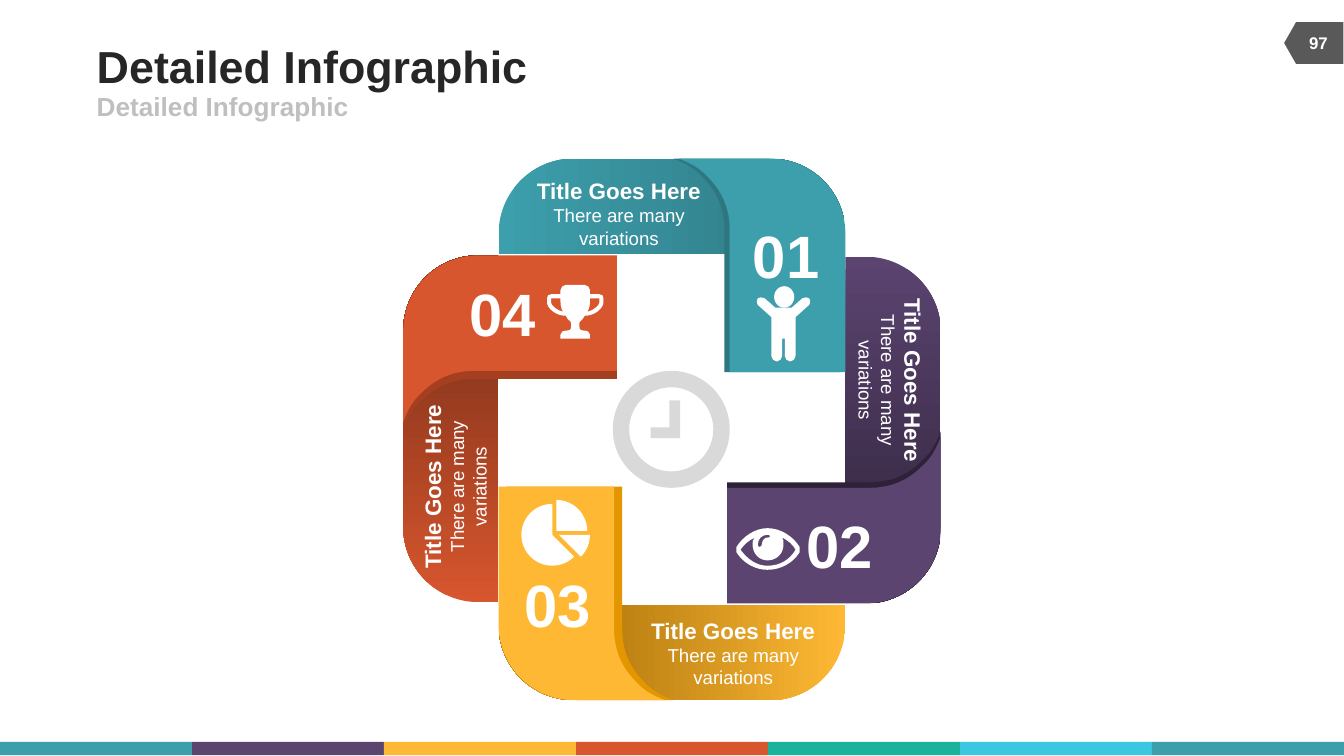
import pptx
import pptx.dml.color
import pptx.enum.shapes
import pptx.enum.text
import pptx.oxml.ns
import pptx.oxml.xmlchemy
import pptx.util

RGB = pptx.dml.color.RGBColor
SHAPE = pptx.enum.shapes.MSO_SHAPE
ALIGN = pptx.enum.text.PP_ALIGN
ANCHOR = pptx.enum.text.MSO_ANCHOR

TEAL, DARK_TEAL = RGB(0x3D, 0x9F, 0xAC), RGB(0x2E, 0x77, 0x81)
PURPLE, DARK_PURPLE = RGB(0x5B, 0x44, 0x70), RGB(0x2E, 0x22, 0x38)
YELLOW, BROWN, AMBER = RGB(0xFE, 0xB8, 0x34), RGB(0x98, 0x64, 0x01), RGB(0xE4, 0x96, 0x01)
ORANGE, MAROON, RUST = RGB(0xD7, 0x56, 0x2E), RGB(0x6E, 0x2A, 0x15), RGB(0xA4, 0x3F, 0x1F)
GREEN, SKY = RGB(0x1B, 0xB2, 0x9C), RGB(0x3B, 0xC7, 0xE2)
WHITE, INK, SLATE = RGB(0xFF, 0xFF, 0xFF), RGB(0x26, 0x26, 0x26), RGB(0x59, 0x59, 0x59)
SILVER, CLOCK_GREY = RGB(0xBF, 0xBF, 0xBF), RGB(0xD9, 0xD9, 0xD9)

WIDTH, HEIGHT = pptx.util.Inches(10), pptx.util.Inches(5.625)
COLUMN = WIDTH / 10  # every length below counts these square grid columns

HEADING = "Detailed Infographic"
PAGE_NUMBER = "97"
LABEL = ("Title Goes Here", "There are many variations")
STRIPES = [TEAL, PURPLE, YELLOW, ORANGE, GREEN, SKY, TEAL]

# Clockwise, each petal a quarter turn on from the one before
PETALS = [
    dict(number="01", corner=(3.71, 1.18), colour=TEAL, deep=DARK_TEAL, shade=DARK_TEAL,
         overhang=0.04, label_at=(3.88, 1.32), turn_label=0, number_at=(5.6, 1.62)),
    dict(number="02", corner=(7, 1.91), colour=PURPLE, deep=DARK_PURPLE, shade=DARK_PURPLE,
         overhang=0.04, label_at=(5.9, 2.56), turn_label=90, number_at=(6, 3.78)),
    dict(number="03", corner=(6.29, 5.21), colour=YELLOW, deep=BROWN, shade=AMBER,
         overhang=0.06, label_at=(4.73, 4.59), turn_label=0, number_at=(3.9, 4.22)),
    dict(number="04", corner=(3, 4.48), colour=ORANGE, deep=MAROON, shade=RUST,
         overhang=0.06, label_at=(2.66, 3.35), turn_label=270, number_at=(3.49, 2.05)),
]

# Outlines: a pair is a straight step, six numbers are a Bezier step
BAND = [(0, 0.71), (0, 0.56), (0, 0.25, 0.25, 0, 0.56, 0), (2.02, 0),
        (2.33, 0, 2.58, 0.25, 2.58, 0.56), (2.58, 0.71)]
FOLD = [(1.34, 0), (2.02, 0), (2.33, 0, 2.58, 0.25, 2.58, 0.56), (2.58, 1.59),
        (1.72, 1.59), (1.72, 0.53), (1.72, 0.38, 1.67, 0.25, 1.56, 0.14),
        (1.5, 0.07, 1.42, 0.03, 1.34, 0)]
CLOCK_HANDS = [(4.98, 2.98), (5.06, 2.98), (5.06, 3.26), (4.84, 3.26), (4.84, 3.18), (4.98, 3.18)]

# Right halves, with x counted from the axis of symmetry
TROPHY_AXIS, PERSON_AXIS = 4.28, 5.83
TROPHY_HALF = [
    (0, 2.12), (0.07, 2.12), (0.09, 2.12, 0.11, 2.14, 0.11, 2.16), (0.11, 2.19), (0.18, 2.19),
    (0.2, 2.19, 0.21, 2.2, 0.21, 2.22), (0.21, 2.25), (0.21, 2.29, 0.15, 2.35, 0.07, 2.35),
    (0.06, 2.37, 0.05, 2.38, 0.05, 2.38), (0.03, 2.39, 0.03, 2.4, 0.03, 2.42),
    (0.03, 2.44, 0.03, 2.46, 0.06, 2.46), (0.09, 2.46, 0.11, 2.47, 0.11, 2.49),
    (0.11, 2.52), (0, 2.52)]
TROPHY_HANDLE = [(0.18, 2.22), (0.11, 2.22), (0.11, 2.26, 0.11, 2.29, 0.09, 2.32),
                 (0.14, 2.31, 0.18, 2.27, 0.18, 2.25)]
PERSON_HALF = [
    (0, 2.29), (0.06, 2.29), (0.14, 2.22), (0.16, 2.21, 0.18, 2.21, 0.19, 2.22),
    (0.2, 2.23, 0.2, 2.26, 0.19, 2.27), (0.09, 2.36), (0.09, 2.65),
    (0.09, 2.67, 0.07, 2.69, 0.05, 2.69), (0.03, 2.69, 0.01, 2.67, 0.01, 2.65),
    (0.01, 2.52), (0, 2.52)]
EYE = [
    [(5.95, 4.11), (5.9, 4.19, 5.81, 4.24, 5.71, 4.24), (5.62, 4.24, 5.53, 4.19, 5.48, 4.11),
     (5.48, 4.07), (5.53, 3.99, 5.62, 3.93, 5.71, 3.93), (5.81, 3.93, 5.9, 3.99, 5.95, 4.07)],
    [(5.82, 4), (5.83, 4.01, 5.83, 4.03, 5.83, 4.05), (5.83, 4.12, 5.78, 4.17, 5.71, 4.17),
     (5.65, 4.17, 5.6, 4.12, 5.6, 4.05), (5.6, 4.03, 5.6, 4.01, 5.62, 4),
     (5.57, 4.02, 5.54, 4.05, 5.51, 4.09), (5.56, 4.16, 5.63, 4.21, 5.71, 4.21),
     (5.81, 4.21, 5.88, 4.16, 5.92, 4.09), (5.9, 4.05, 5.86, 4.02, 5.82, 4)],
    [(5.71, 3.98), (5.67, 3.98, 5.64, 4.01, 5.64, 4.05), (5.64, 4.06, 5.64, 4.07, 5.65, 4.07),
     (5.66, 4.07, 5.67, 4.06, 5.67, 4.05), (5.67, 4.02, 5.69, 4, 5.71, 4),
     (5.72, 4, 5.73, 4, 5.73, 3.99), (5.73, 3.98, 5.72, 3.98, 5.71, 3.98)],
]
# Centre, first and last angle in degrees
PIE_WEDGES = [((4.11, 3.98), 45, 270), ((4.14, 3.95), 270, 0), ((4.16, 3.98), 0, 45)]
PIE_RADIUS = 0.23
ANGLE_UNIT = 0.6  # one degree as an adjustment value


def grid(*lengths):
    return [round(length * COLUMN) for length in lengths]


def trace(outline):
    """Split each step of an outline into a list of points."""
    return [list(zip(step[::2], step[1::2])) for step in outline]


def shift(steps, axis, side=1):
    return [[(axis + side * x, y) for x, y in step] for step in steps]


def mirror(half, axis):
    """Close a right half with its reflection, walked backwards."""
    left = shift(trace(half), axis, -1)
    back = [left[i][-2::-1] + [left[i - 1][-1]] for i in range(len(left) - 1, 0, -1)]
    return shift(trace(half), axis) + back


def place(steps, corner, turn):
    """Turn a petal outline by quarter turns and move it to the petal's corner."""
    for _ in range(turn):
        steps = [[(-y, x) for x, y in step] for step in steps]
    return [[(corner[0] + x, corner[1] + y) for x, y in step] for step in steps]


def paint(shape, colour):
    shape.shadow.inherit = False
    shape.line.fill.background()
    shape.fill.solid()
    shape.fill.fore_color.rgb = colour
    return shape


def add_preset(page, kind, box, colour):
    return paint(page.shapes.add_shape(kind, *grid(*box)), colour)


def add_outline(page, contours, colour):
    """Build a freeform, then join each three Bezier points into one curve."""
    builder = None
    for contour in contours:
        start, *points = [grid(*point) for step in contour for point in step]
        if builder is None:
            builder = page.shapes.build_freeform(*start, scale=1.0)
        else:
            builder.move_to(*start)
        builder.add_line_segments(points, close=True)
    shape = builder.convert_to_shape()
    lines = iter(list(shape._element.iter(pptx.oxml.ns.qn("a:lnTo"))))
    for step in (step for contour in contours for step in contour[1:]):
        joined = [next(lines) for _ in step]
        if len(joined) == 3:
            curve = pptx.oxml.xmlchemy.OxmlElement("a:cubicBezTo")
            joined[0].addprevious(curve)
            for line in joined:
                curve.append(line[0])
                line.getparent().remove(line)
    return paint(shape, colour)


def add_text(page, box, lines, anchor=ANCHOR.TOP, align=ALIGN.CENTER, wrap=True):
    """Add one paragraph; each line is (text, size, bold, colour)."""
    text_box = page.shapes.add_textbox(*grid(*box))
    frame = text_box.text_frame
    frame.margin_left = frame.margin_right = frame.margin_top = frame.margin_bottom = 0
    frame.word_wrap, frame.vertical_anchor = wrap, anchor
    para = frame.paragraphs[0]
    para.alignment = align
    for index, (text, size, bold, colour) in enumerate(lines):
        if index:
            para.add_line_break()
        span = para.add_run()
        span.text = text
        span.font.name, span.font.size, span.font.bold = "Arial", pptx.util.Pt(size), bold
        span.font.color.rgb = colour
    return text_box


def add_petals(page):
    for turn, petal in enumerate(PETALS):
        band = add_outline(page, [place(trace(BAND), petal["corner"], turn)], petal["colour"])
        band.fill.gradient()
        band.fill.gradient_angle = -90 * turn % 360
        for stop, position, colour in zip(band.fill.gradient_stops, (0, 1),
                                          (petal["colour"], petal["deep"])):
            stop.position, stop.color.rgb = position, colour
    for turn, petal in enumerate(PETALS):
        for offset, colour in ((-petal["overhang"], petal["shade"]), (0, petal["colour"])):
            fold = shift(trace(FOLD), offset)
            add_outline(page, [place(fold, petal["corner"], turn)], colour)
    for petal in PETALS:
        lines = [(LABEL[0], 12, True, WHITE), (LABEL[1], 10, False, WHITE)]
        label = add_text(page, (*petal["label_at"], 1.45, 0.54), lines)
        label.rotation = petal["turn_label"]
        add_text(page, (*petal["number_at"], 0.5, 0.54), [(petal["number"], 32, True, WHITE)],
                 ANCHOR.BOTTOM, wrap=False)


def add_icons(page):
    clock = add_preset(page, SHAPE.DONUT, (4.56, 2.76, 0.87, 0.87), CLOCK_GREY)
    clock.adjustments[0] = 0.14
    add_outline(page, [trace(CLOCK_HANDS)], CLOCK_GREY)
    handles = [shift(trace(TROPHY_HANDLE), TROPHY_AXIS, side) for side in (1, -1)]
    add_outline(page, [mirror(TROPHY_HALF, TROPHY_AXIS), *handles], WHITE)
    add_outline(page, [mirror(PERSON_HALF, PERSON_AXIS)], WHITE)
    add_preset(page, SHAPE.OVAL, (5.76, 2.13, 0.15, 0.16), WHITE)
    add_outline(page, [trace(contour) for contour in EYE], WHITE)
    for (x, y), *angles in PIE_WEDGES:
        box = (x - PIE_RADIUS, y - PIE_RADIUS, 2 * PIE_RADIUS, 2 * PIE_RADIUS)
        wedge = add_preset(page, SHAPE.PIE, box, WHITE)
        for index, angle in enumerate(angles):
            wedge.adjustments[index] = angle * ANGLE_UNIT * 1.0


def main():
    deck = pptx.Presentation()
    deck.slide_width, deck.slide_height = WIDTH, HEIGHT
    page = deck.slides.add_slide(deck.slide_layouts[6])
    stripe = 10 / len(STRIPES)
    for index, colour in enumerate(STRIPES):
        add_preset(page, SHAPE.RECTANGLE, (index * stripe, 5.52, stripe, 0.1), colour)
    tag = add_preset(page, SHAPE.FLOWCHART_OFFPAGE_CONNECTOR, (9.62, 0.1, 0.31, 0.44), SLATE)
    tag.rotation = 90
    add_petals(page)
    for box, size, colour in (((0.72, 0.29, 6.17, 0.39), 24, INK),
                              ((0.72, 0.68, 4.5, 0.22), 14, SILVER)):
        add_text(page, box, [(HEADING, size, True, colour)], ANCHOR.MIDDLE, ALIGN.LEFT)
    add_text(page, (9.6, 0.17, 0.42, 0.3), [(PAGE_NUMBER, 9, True, WHITE)], ANCHOR.MIDDLE)
    add_icons(page)
    deck.save("out.pptx")


if __name__ == "__main__":
    main()
